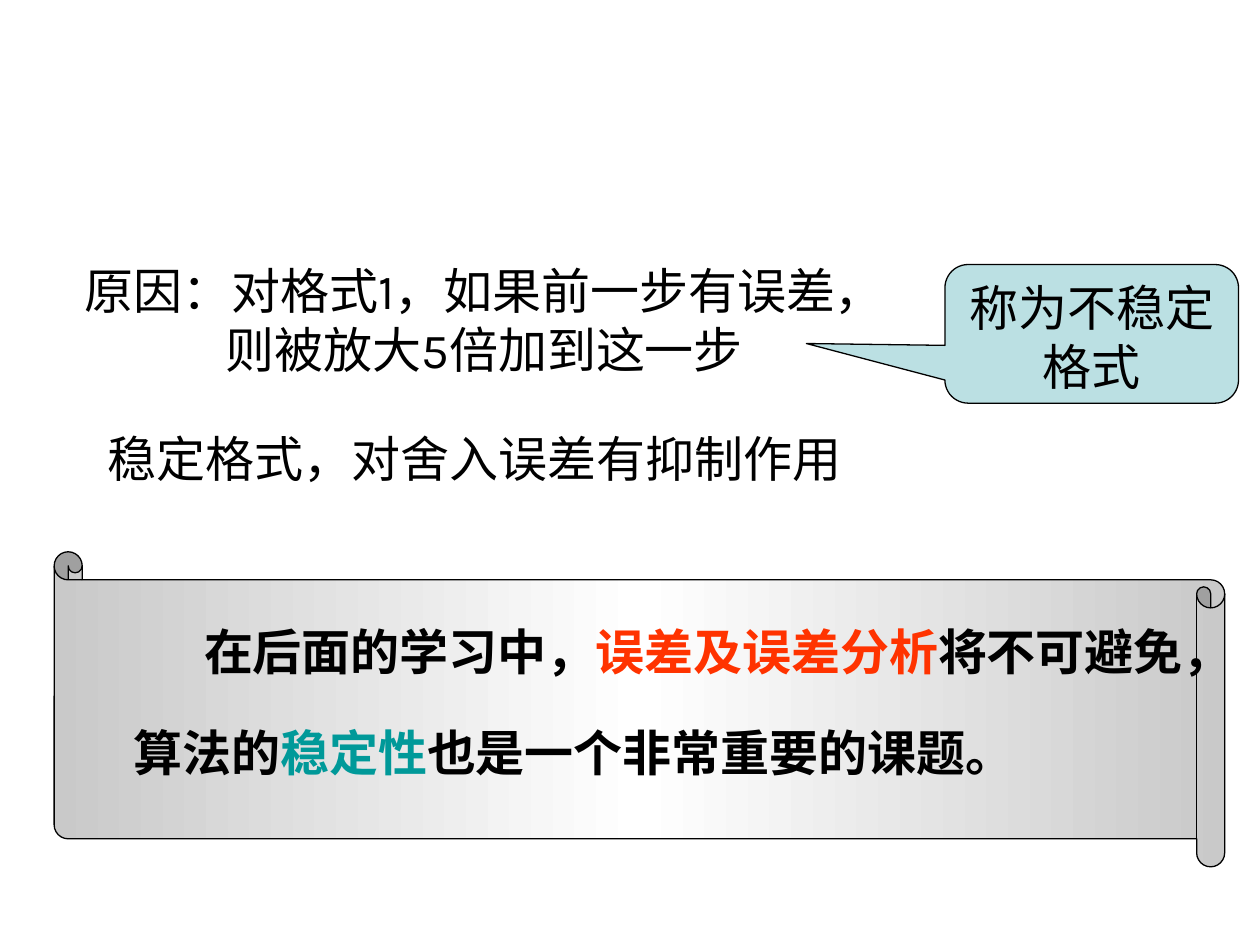
from copy import deepcopy

from pptx import Presentation
from pptx import util as u
from pptx.dml.color import RGBColor
from pptx.enum import shapes, text
from pptx.oxml.ns import qn

WIDTH, HEIGHT = u.Inches(10), u.Inches(7.5)
BLACK = "000000"


def colour(code):
    return RGBColor.from_string(code)


def place(left, top, width, height):
    return [u.Inches(value) for value in (left, top, width, height)]


def style(run, font="Karla", code=BLACK, bold=False):
    run.font.name = font
    run.font.size = u.Pt(28)
    run.font.bold = bold
    run.font.color.rgb = colour(code)


def write_centred(frame, wording, wrap=True):
    frame.word_wrap = wrap
    frame.text = wording
    for paragraph in frame.paragraphs:
        paragraph.alignment = text.PP_ALIGN.CENTER
        for run in paragraph.runs:
            style(run)


def add_statement(slide, box, wording, wrap=True):
    statement = slide.shapes.add_textbox(*place(*box))
    write_centred(statement.text_frame, wording, wrap)


def add_outlined(slide, kind, box, adjustments):
    outlined = slide.shapes.add_shape(kind, *place(*box))
    outlined.shadow.inherit = False
    outlined.line.color.rgb = colour(BLACK)
    outlined.line.width = u.Pt(0.75)
    for index, value in enumerate(adjustments):
        outlined.adjustments[index] = value
    return outlined


def add_callout(slide, box, wording):
    callout = add_outlined(
        slide, shapes.MSO_SHAPE.ROUNDED_RECTANGULAR_CALLOUT, box, (-0.972, 0.07, 0.167))
    callout.fill.solid()
    callout.fill.fore_color.rgb = colour("BBE0E3")
    callout.text_frame.vertical_anchor = text.MSO_ANCHOR.TOP
    write_centred(callout.text_frame, wording)


def fill_with_sheen(scroll, edge, middle):
    scroll.fill.gradient()
    scroll.fill.gradient_angle = 0
    for stop in scroll.fill.gradient_stops:
        stop.color.rgb = colour(edge)
    stops = scroll._element.spPr.find(qn("a:gradFill")).find(qn("a:gsLst"))
    centre = deepcopy(stops[0])
    centre.set("pos", "50000")
    stops.insert(1, centre)
    scroll.fill.gradient_stops[1].color.rgb = colour(middle)


def add_scroll(slide, box, lines):
    scroll = add_outlined(slide, shapes.MSO_SHAPE.HORIZONTAL_SCROLL, box, (0.089,))
    scroll._element.spPr.xfrm.set("flipH", "1")
    fill_with_sheen(scroll, "C9C9C9", "FFFFFF")
    frame = scroll.text_frame
    frame.word_wrap = False
    frame.vertical_anchor = text.MSO_ANCHOR.MIDDLE
    frame.margin_top = u.Inches(0.25)
    frame.margin_right = u.Inches(0.24)
    frame.margin_bottom = u.Inches(0.51)
    for index, (indent, parts) in enumerate(lines):
        paragraph = frame.add_paragraph() if index else frame.paragraphs[0]
        paragraph.alignment = text.PP_ALIGN.LEFT
        paragraph.line_spacing = 1.3
        paragraph.space_before = u.Pt(14)
        paragraph._p.get_or_add_pPr().set("marL", str(u.Inches(indent)))
        for wording, code in parts:
            run = paragraph.add_run()
            run.text = wording
            style(run, "Times New Roman", code, bold=True)


def main():
    deck = Presentation()
    deck.slide_width, deck.slide_height = WIDTH, HEIGHT
    slide = deck.slides.add_slide(deck.slide_layouts[6])
    add_statement(slide, (0.33, 2.02, 7.03, 1.03),
                  "原因：对格式1，如果前一步有误差，\n则被放大5倍加到这一步")
    add_callout(slide, (7.5, 2.1, 2.33, 1.1), "称为不稳定格式")
    add_statement(slide, (0.75, 3.35, 6.03, 0.57),
                  "稳定格式，对舍入误差有抑制作用", wrap=False)
    add_scroll(slide, (0.43, 4.38, 9.29, 2.5), [
        (0.98, [("在后面的学习中，", BLACK), ("误差及误差分析", "FF3300"),
                ("将不可避免，", BLACK)]),
        (0.42, [("算法的", BLACK), ("稳定性", "009999"),
                ("也是一个非常重要的课题。", BLACK)]),
    ])
    deck.save("out.pptx")


if __name__ == "__main__":
    main()
